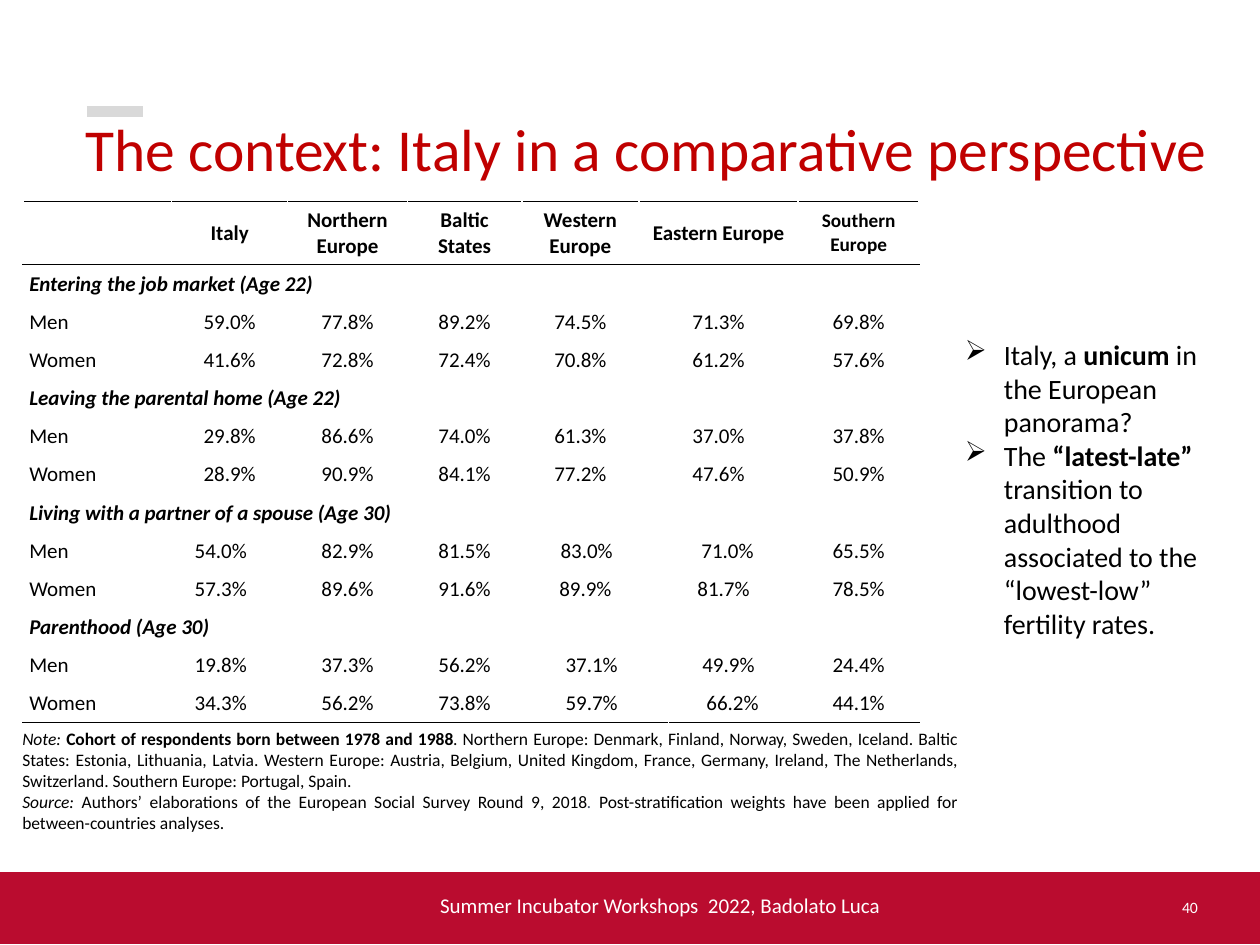
from dataclasses import dataclass

from lxml import etree
from pptx import Presentation
from pptx import util as u
from pptx.dml.color import RGBColor
from pptx.enum import shapes, text
from pptx.oxml import ns

ALIGN = text.PP_ALIGN
ANCHOR = text.MSO_ANCHOR


@dataclass(frozen=True)
class Theme:
    font: str = "Calibri"
    ink: str = "000000"
    white: str = "FFFFFF"
    title_red: str = "C00000"
    band_red: str = "BA0C2F"
    accent_grey: str = "D9D9D9"
    slate: str = "44546A"
    title_size: float = 34
    list_size: float = 16
    table_size: float = 12
    narrow_head_size: float = 11
    note_size: float = 10
    number_size: float = 9
    accent_width: float = 6.25
    rule_width: float = 1
    cell_inset: float = 0.13


COLUMNS = [2.64, 0.3, 2.34, 2.41, 2.31, 2.36, 0.2, 0.2, 0.2, 0.2, 2.41, 2.44]
HEAD_HEIGHT, ROW_HEIGHT = 1.22, 0.74

PLAIN = [2, 1, 1, 1, 1, 5, 1]
REGIONS = ["", "Italy", "Northern Europe", "Baltic States",
           "Western Europe", "Eastern Europe", "Southern Europe"]
GROUPS = [
    ("Entering the job market (Age 22)", [
        ("Men 59.0% 77.8% 89.2% 74.5% 71.3% 69.8%", PLAIN, {}),
        ("Women 41.6% 72.8% 72.4% 70.8% 61.2% 57.6%", PLAIN, {})]),
    ("Leaving the parental home (Age 22)", [
        ("Men 29.8% 86.6% 74.0% 61.3% 37.0% 37.8%", PLAIN, {}),
        ("Women 28.9% 90.9% 84.1% 77.2% 47.6% 50.9%", PLAIN, {})]),
    ("Living with a partner of a spouse (Age 30)", [
        ("Men 54.0% 82.9% 81.5% 83.0% 71.0% 65.5%", [1, 2, 1, 1, 5, 1, 1], {4: 0.78, 5: 0.46}),
        ("Women 57.3% 89.6% 91.6% 89.9% 81.7% 78.5%", [1, 2, 1, 1, 2, 4, 1], {})]),
    ("Parenthood (Age 30)", [
        ("Men 19.8% 37.3% 56.2% 37.1% 49.9% 24.4%", [1, 2, 1, 1, 3, 3, 1], {4: 0.88}),
        ("Women 34.3% 56.2% 73.8% 59.7% 66.2% 44.1%", [1, 2, 1, 1, 4, 2, 1], {4: 0.88, 5: 0.76})]),
]

NOTES = [
    [("Note: ", "i"), ("Cohort of respondents born between 1978 and 1988", "b"),
     (". Northern Europe: Denmark, Finland, Norway, Sweden, Iceland. Baltic States: Estonia, "
      "Lithuania, Latvia. Western Europe: Austria, Belgium, United Kingdom, France, Germany, "
      "Ireland, The Netherlands, Switzerland. Southern Europe: Portugal, Spain.", "")],
    [("Source: ", "i"),
     ("Authors’ elaborations of the European Social Survey Round 9, 2018", ""), (".", "is"),
     (" Post-stratification weights have been applied for between-countries analyses.", "")],
]
FINDINGS = [
    [("Italy, a ", ""), ("unicum", "b"), (" in the European panorama?", "")],
    [("The ", ""), ("“latest-late” ", "b"),
     ("transition to adulthood associated to the “lowest-low” fertility rates.", "")],
]


class Deck:
    def __init__(self, theme):
        self.theme = theme
        self.presentation = Presentation()
        self.presentation.slide_width = u.Cm(25.4)
        self.presentation.slide_height = u.Cm(19.05)
        self.slide = self.presentation.slides.add_slide(self.presentation.slide_layouts[6])

    def style(self, paragraph, size, color, bold=None, italic=None):
        font = paragraph.font
        font.name, font.size = self.theme.font, u.Pt(size)
        font.bold, font.italic = bold, italic
        font.color.rgb = RGBColor.from_string(color)

    def accent(self, left, top, width):
        dash = self.slide.shapes.add_connector(
            shapes.MSO_CONNECTOR.STRAIGHT, u.Cm(left), u.Cm(top), u.Cm(left + width), u.Cm(top))
        dash.line.color.rgb = RGBColor.from_string(self.theme.accent_grey)
        dash.line.width = u.Pt(self.theme.accent_width)
        etree.SubElement(dash._element.spPr, ns.qn("a:effectLst"))

    def band(self, left, top, width, height):
        band = self.slide.shapes.add_shape(
            shapes.MSO_SHAPE.RECTANGLE, u.Cm(left), u.Cm(top), u.Cm(width), u.Cm(height))
        band.shadow.inherit = False
        band.fill.solid()
        band.fill.fore_color.rgb = RGBColor.from_string(self.theme.band_red)
        band.line.color.rgb = RGBColor.from_string(self.theme.band_red)
        band.line.width = u.Pt(self.theme.rule_width)

    def words(self, box, paragraphs, size, color, align=ALIGN.LEFT,
              anchor=ANCHOR.TOP, spacing=None, bullet=None):
        frame = self.slide.shapes.add_textbox(*map(u.Cm, box)).text_frame
        frame.word_wrap = True
        frame.vertical_anchor = anchor
        for index, pieces in enumerate(paragraphs):
            paragraph = frame.paragraphs[0] if index == 0 else frame.add_paragraph()
            paragraph.alignment = align
            if spacing:
                paragraph.line_spacing = spacing
            if bullet:
                properties = paragraph._p.get_or_add_pPr()
                properties.set("marL", str(u.Cm(0.79)))
                properties.set("indent", str(-u.Cm(0.79)))
                etree.SubElement(properties, ns.qn("a:buChar"), char=bullet)
            self.style(paragraph, size, color)
            for wording, marks in pieces:
                run = paragraph.add_run()
                run.text = wording
                if "b" in marks:
                    run.font.bold = True
                if "i" in marks:
                    run.font.italic = True
                if "s" in marks:
                    run.font.color.rgb = RGBColor.from_string(self.theme.slate)

    def rule(self, cell, side):
        line = etree.SubElement(cell._tc.get_or_add_tcPr(), ns.qn(side),
                                w=str(u.Pt(self.theme.rule_width)))
        fill = etree.SubElement(line, ns.qn("a:solidFill"))
        etree.SubElement(fill, ns.qn("a:srgbClr"), val=self.theme.ink)

    def fill_row(self, table, row, wordings, spans, indents, head=False, heading=False):
        theme = self.theme
        column = 0
        for index, (wording, span) in enumerate(zip(wordings, spans)):
            cell = table.cell(row, column)
            if span > 1:
                cell.merge(table.cell(row, column + span - 1))
            inset = u.Cm(theme.cell_inset)
            cell.margin_left = cell.margin_right = cell.margin_top = cell.margin_bottom = inset
            if index in indents:
                cell.margin_left = u.Cm(indents[index])
            cell.vertical_anchor = ANCHOR.MIDDLE if index else ANCHOR.TOP
            paragraph = cell.text_frame.paragraphs[0]
            centred = index > 0 and index not in indents
            paragraph.alignment = ALIGN.CENTER if centred else ALIGN.LEFT
            narrow = head and index == len(wordings) - 1
            self.style(paragraph, theme.narrow_head_size if narrow else theme.table_size,
                       theme.ink, bold=head or heading, italic=heading)
            if wording:
                paragraph.add_run().text = wording
            column += span

    def table(self, left, top, regions, groups):
        rows = [(regions, PLAIN, {}, True, False)]
        for heading, records in groups:
            rows.append(([heading], [len(COLUMNS)], {}, False, True))
            rows += [(line.split(), spans, indents, False, False)
                     for line, spans, indents in records]
        heights = [HEAD_HEIGHT] + [ROW_HEIGHT] * (len(rows) - 1)
        table = self.slide.shapes.add_table(
            len(rows), len(COLUMNS), u.Cm(left), u.Cm(top),
            u.Cm(sum(COLUMNS)), u.Cm(sum(heights))).table
        table.first_row = table.horz_banding = False
        for column, width in zip(table.columns, COLUMNS):
            column.width = u.Cm(width)
        for number, (row, height) in enumerate(zip(table.rows, heights)):
            row.height = u.Cm(height)
            for cell in row.cells:
                if number in (0, 1):
                    self.rule(cell, "a:lnT")
                if number in (0, len(rows) - 1):
                    self.rule(cell, "a:lnB")
                cell.fill.background()
            self.fill_row(table, number, *rows[number])


def main():
    theme = Theme()
    deck = Deck(theme)
    deck.accent(1.75, 2.24, 1.14)
    deck.band(0, 17.6, 25.4, 1.42)
    deck.words((8.41, 17.86, 9.8, 0.76), [[("Summer Incubator Workshops  2022, Badolato Luca", "")]],
               theme.table_size, theme.white, ALIGN.CENTER, ANCHOR.MIDDLE)
    deck.words((1.47, 2.29, 23.22, 1.75), [[("The context: Italy in a comparative perspective", "")]],
               theme.title_size, theme.title_red, spacing=0.9)
    deck.words((23.47, 17.91, 1.04, 0.76), [[("40", "")]],
               theme.number_size, theme.white, ALIGN.CENTER, ANCHOR.MIDDLE)
    deck.table(0.46, 4.06, REGIONS, GROUPS)
    deck.words((0.2, 14.55, 19.35, 2.49), NOTES, theme.note_size, theme.ink, ALIGN.JUSTIFY)
    deck.words((19.2, 6.68, 5.74, 6.4), FINDINGS, theme.list_size, theme.ink, bullet="➢")
    deck.presentation.save("out.pptx")


if __name__ == "__main__":
    main()
